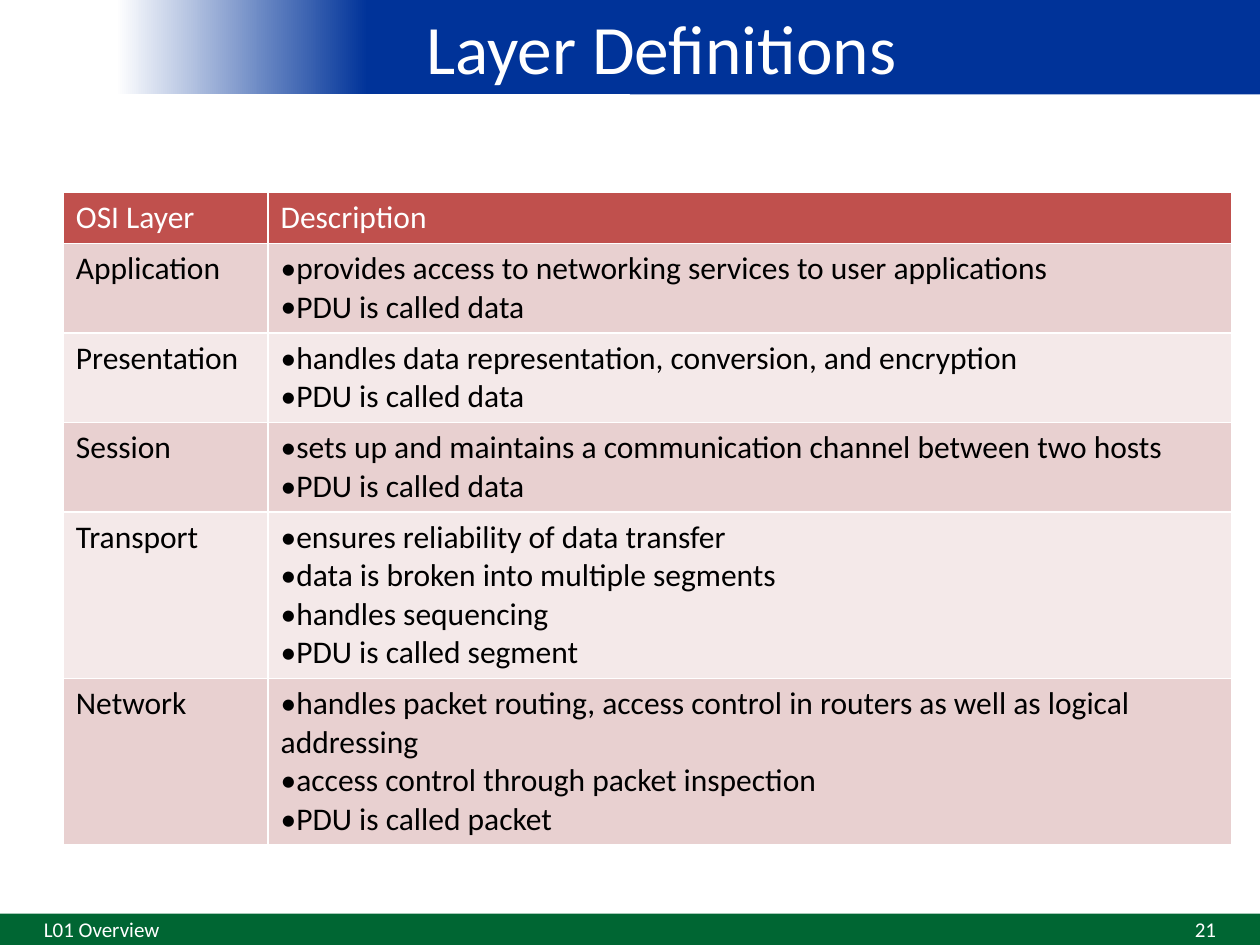
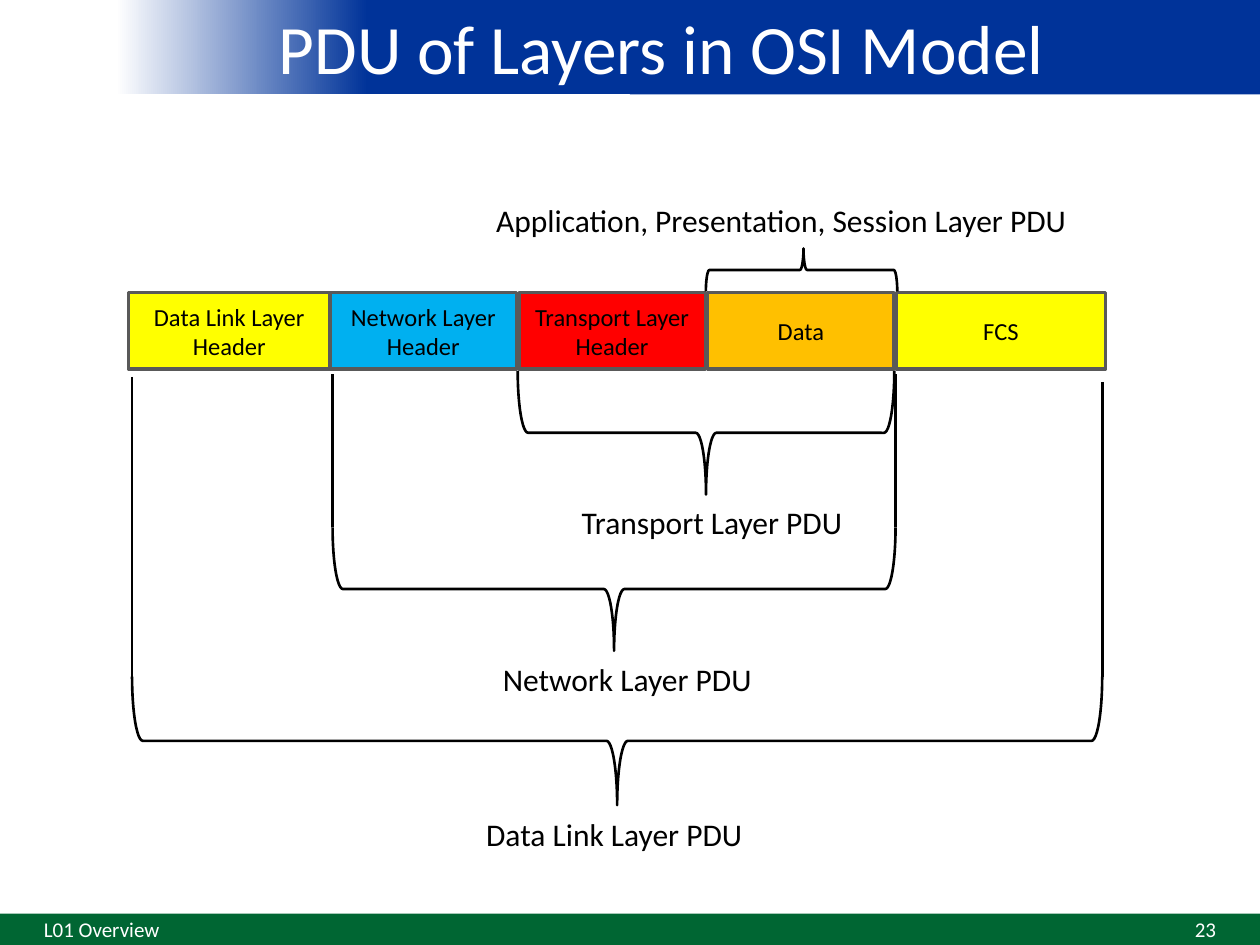
"""Builds two slides on the layers of the OSI model and their PDUs."""
from lxml.etree import SubElement as Sub
from pptx import Presentation
from pptx.dml.color import RGBColor as RGB
from pptx.enum.shapes import MSO_CONNECTOR as Link, MSO_SHAPE as Shape
from pptx.enum.text import MSO_ANCHOR as Anchor, MSO_AUTO_SIZE as Fit, PP_ALIGN as Align
from pptx.oxml.ns import qn
from pptx.util import Pt

FONT = "Calibri"
WHITE = RGB(0xFF, 0xFF, 0xFF)
BLACK = RGB(0, 0, 0)
BLUE = RGB(0x00, 0x33, 0x99)
GREEN = RGB(0x00, 0x66, 0x33)
BRICK = RGB(0xC0, 0x50, 0x4D)
ROSE = RGB(0xE8, 0xD0, 0xD0)
BLUSH = RGB(0xF4, 0xE9, 0xE9)
YELLOW = RGB(0xFF, 0xFF, 0x00)
SKY = RGB(0x00, 0xB0, 0xF0)
RED = RGB(0xFF, 0x00, 0x00)
AMBER = RGB(0xFF, 0xC0, 0x00)
GREY = RGB(0x59, 0x59, 0x59)

DATA = "PDU is called data"
LAYERS = [
    ("Application", 2, ["provides access to networking services to user applications", DATA]),
    ("Presentation", 2, ["handles data representation, conversion, and encryption", DATA]),
    ("Session", 2, ["sets up and maintains a communication channel between two hosts", DATA]),
    ("Transport", 4, ["ensures reliability of data transfer",
                      "data is broken into multiple segments",
                      "handles sequencing", "PDU is called segment"]),
    ("Network", 4, ["handles packet routing, access control in routers as well as logical addressing",
                    "access control through packet inspection", "PDU is called packet"]),
]
FIELDS = [
    ("Data Link Layer Header", YELLOW, 115.2),
    ("Network Layer Header", SKY, 106.56),
    ("Transport Layer Header", RED, 106.56),
    ("Data", AMBER, 106.56),
    ("FCS", YELLOW, 119.52),
]
UNITS = [
    ("Application, Presentation, Session Layer PDU", (203, 0, 342, 28.8),
     (329.9, 30.4, 109.4, 24.5), 270, ()),
    ("Transport Layer PDU", (251.8, 172.1, 172, 28.8), (222.4, 100.4, 215.2, 70.6), 90, ()),
    ("Network Layer PDU", (206.8, 262.3, 167, 28.8), (116.6, 189.7, 321.7, 70.6), 90,
     (102.2, 102.2)),
    ("Data Link Layer PDU", (197.3, 350.6, 170.6, 28.8), (2, 275, 554.4, 73.5), 90,
     (103.7, 106.6)),
]


def points(box):
    """Turns a box of numbers into lengths."""
    return [Pt(n) for n in box]


def write(para, text, size, color, align=Align.LEFT):
    """Adds one formatted run to a paragraph."""
    para.alignment = align
    run = para.add_run()
    run.text = text
    font = run.font
    font.name, font.size, font.bold = FONT, Pt(size), False
    font.color.rgb = color


def block(slide, box, kind=Shape.RECTANGLE, fill=None, line=None, width=1.5):
    """Draws a flat shape with optional fill and line."""
    shape = slide.shapes.add_shape(kind, *points(box))
    shape.shadow.inherit = False
    if fill is None:
        shape.fill.background()
    else:
        shape.fill.solid()
        shape.fill.fore_color.rgb = fill
    if line is None:
        shape.line.fill.background()
    else:
        shape.line.color.rgb = line
        shape.line.width = Pt(width)
    return shape


def label(slide, box, text, size=18, color=BLACK, align=Align.LEFT, wrap=False):
    """Places a line of text in a box."""
    frame = slide.shapes.add_textbox(*points(box)).text_frame
    frame.word_wrap = wrap
    if wrap:
        frame.vertical_anchor = Anchor.MIDDLE
        frame.margin_top = frame.margin_bottom = 0
    else:
        frame.auto_size = Fit.SHAPE_TO_FIT_TEXT
    write(frame.paragraphs[0], text, size, color, align)


def bands(slide, layout):
    """Draws the shared bands and moves them to the layout."""
    fade = block(slide, (54, 0, 306, 54), fill=BLUE)
    fade.fill.gradient()
    fade.fill.gradient_angle = 180
    for stop, (place, color) in zip(fade.fill.gradient_stops, [(0.49, BLUE), (0.96, WHITE)]):
        stop.position = place
        stop.color.rgb = color
    parts = [block(slide, (360, 0, 360, 54), fill=BLUE), fade,
             block(slide, (0, 522, 720, 18), fill=GREEN)]
    tree = layout.shapes._spTree
    for spot, part in enumerate(parts, 2):
        tree.insert(spot, part._element)


def heading(slide, box, text):
    """Fills and places the title placeholder."""
    title = slide.shapes.title
    title.left, title.top, title.width, title.height = points(box)
    frame = title.text_frame
    frame.auto_size, frame.word_wrap = Fit.NONE, True
    frame.vertical_anchor = Anchor.MIDDLE
    write(frame.paragraphs[0], text, 39.6, WHITE, Align.CENTER)


def footer(slide, box, number):
    """Writes the lecture name and page number at the two ends of a box."""
    x, y, w, h = box
    part = 168
    label(slide, (x, y, part, h), "L01 Overview", 12, WHITE, wrap=True)
    label(slide, (x + w - part, y, part, h), number, 12, WHITE, Align.RIGHT, True)


def cell(spot, lines, fill, color, bullet=False):
    """Fills one table cell with white borders and its lines."""
    props = spot._tc.get_or_add_tcPr()
    for side in ("a:lnL", "a:lnR", "a:lnT", "a:lnB"):
        edge = Sub(props, qn(side), w=str(Pt(1)))
        Sub(Sub(edge, qn("a:solidFill")), qn("a:srgbClr"), val=str(WHITE))
    spot.fill.solid()
    spot.fill.fore_color.rgb = fill
    frame = spot.text_frame
    for n, text in enumerate(lines):
        para = frame.add_paragraph() if n else frame.paragraphs[0]
        write(para, text, 18, color)
        if bullet:
            style = para._p.get_or_add_pPr()
            Sub(style, qn("a:buFont"), typeface=FONT)
            Sub(style, qn("a:buChar"), char="•")


def grid(slide, box):
    """Builds the table of layers in a box."""
    table = slide.shapes.add_table(len(LAYERS) + 1, 2, *points(box)).table
    first = 117
    table.columns[0].width = Pt(first)
    table.columns[1].width = Pt(box[2] - first)
    rows = [("OSI Layer", 1, ["Description"])] + LAYERS
    for n, (name, count, lines) in enumerate(rows):
        table.rows[n].height = Pt(7.2 + 22 * count)
        fill = (ROSE if n % 2 else BLUSH) if n else BRICK
        color = BLACK if n else WHITE
        cell(table.cell(n, 0), [name], fill, color)
        cell(table.cell(n, 1), lines, fill, color, n > 0)


def brace(slide, box, turn):
    """Draws a brace, turned to lie across a box."""
    x, y, w, h = box
    flat = (x + (w - h) / 2, y + (h - w) / 2, h, w)
    shape = block(slide, flat, Shape.RIGHT_BRACE, line=BLACK)
    shape.rotation = turn
    if turn == 270:
        shape.adjustments[1] = 0.51


def leg(slide, x, top, end):
    """Draws an upright line."""
    line = slide.shapes.add_connector(Link.STRAIGHT, *points((x, top, x, end)))
    line.line.color.rgb = BLACK
    line.line.width = Pt(1.5)
    Sub(line._element.spPr, qn("a:effectLst"))


def frames(slide, box):
    """Draws the row of fields and the braces of each unit in a box."""
    left, top = box[:2]
    x = left
    for text, fill, width in FIELDS:
        shape = block(slide, (x, top + 55.7, width, 43.7), fill=fill, line=GREY, width=2)
        shape.text_frame.word_wrap = True
        shape.text_frame.vertical_anchor = Anchor.MIDDLE
        write(shape.text_frame.paragraphs[0], text, 14, BLACK, Align.CENTER)
        x += width + (1.3 if fill != YELLOW else 0)
    for text, (tx, ty, tw, th), (bx, by, bw, bh), turn, legs in UNITS:
        brace(slide, (left + bx, top + by, bw, bh), turn)
        label(slide, (left + tx, top + ty, tw, th), text)
        for side, start in zip((bx, bx + bw), legs):
            leg(slide, left + side, top + start, top + by)


def build():
    """Makes the deck and saves it."""
    deck = Presentation()
    deck.slide_width, deck.slide_height = Pt(720), Pt(540)
    layout = deck.slide_layouts[5]
    pages = [
        ("Layer Definitions", "21", grid, (36.2, 109.8, 667.6, 367.2)),
        ("PDU of Layers in OSI Model", "23", frames, (73.44, 111.6, 558, 379.4)),
    ]
    for n, (title, number, draw, box) in enumerate(pages):
        slide = deck.slides.add_slide(layout)
        if n == 0:
            bands(slide, layout)
        heading(slide, (54, 0, 648, 54), title)
        draw(slide, box)
        footer(slide, (18, 522, 684, 18), number)
    deck.save("out.pptx")


build()
